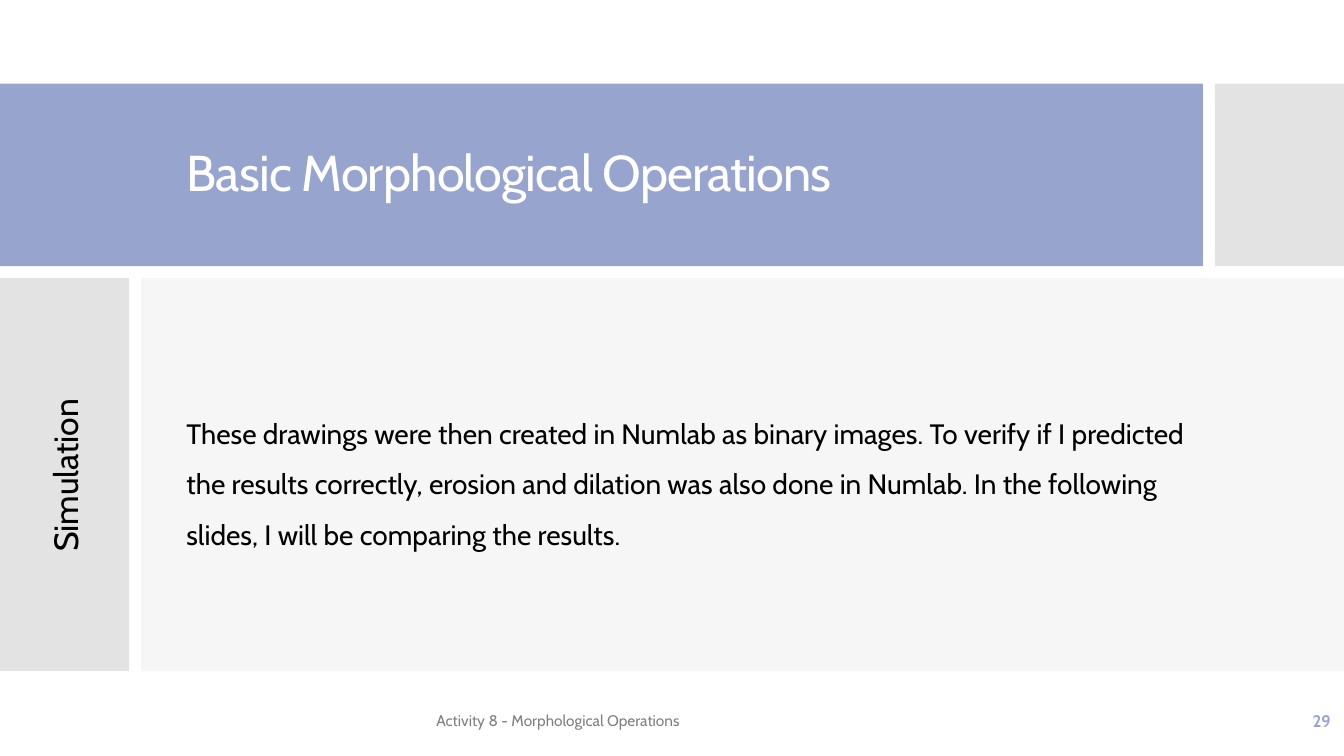
from pptx import Presentation
from pptx.dml.color import RGBColor
from pptx.enum.shapes import MSO_SHAPE
from pptx.enum.text import MSO_ANCHOR, MSO_AUTO_SIZE, PP_ALIGN
from pptx.util import Inches, Pt

FONT = "Cabin"
WHITE = RGBColor(0xFF, 0xFF, 0xFF)
BLACK = RGBColor(0x00, 0x00, 0x00)
BLUE = RGBColor(0x97, 0xA4, 0xCD)
SILVER = RGBColor(0xE3, 0xE3, 0xE3)
PALE = RGBColor(0xF6, 0xF6, 0xF6)
GRAY = RGBColor(0x80, 0x80, 0x80)

BODY = (
    "These drawings were then created in Numlab as binary images. "
    "To verify if I predicted the results correctly, erosion and dilation "
    "was also done in Numlab. In the following slides, I will be comparing "
    "the results."
)


def add_panel(page, left, top, width, height, color):
    panel = page.shapes.add_shape(
        MSO_SHAPE.RECTANGLE,
        Inches(left), Inches(top), Inches(width), Inches(height),
    )
    panel.shadow.inherit = False
    panel.fill.solid()
    panel.fill.fore_color.rgb = color
    panel.line.fill.background()


def write_text(box, text, size, color, align=PP_ALIGN.LEFT):
    """Fill a box with one vertically centred paragraph and return it."""
    frame = box.text_frame
    frame.text = text
    frame.word_wrap = True
    frame.auto_size = MSO_AUTO_SIZE.NONE
    frame.vertical_anchor = MSO_ANCHOR.MIDDLE
    para = frame.paragraphs[0]
    para.alignment = align
    para.font.name = FONT
    para.font.size = Pt(size)
    para.font.color.rgb = color
    return para


def add_text(page, left, top, width, height, *text_format):
    box = page.shapes.add_textbox(
        Inches(left), Inches(top), Inches(width), Inches(height)
    )
    return box, write_text(box, *text_format)


def place_title(page, text):
    """Set the title and bring it in front of its band."""
    title = page.shapes.title
    title.left, title.top = Inches(1.75), Inches(1.19)
    title.width, title.height = Inches(9.82), Inches(1.09)
    para = write_text(title, text, 36, WHITE)
    para.line_spacing = 0.9
    para.runs[0].font._element.set("spc", "-60")
    page.shapes._spTree.append(title._element)


def main():
    deck = Presentation()
    deck.slide_width, deck.slide_height = Inches(13.33), Inches(7.5)
    page = deck.slides.add_slide(deck.slide_layouts[5])

    add_panel(page, 0, 0.83, 11.93, 1.81, BLUE)
    add_panel(page, 12.05, 0.83, 1.28, 1.81, SILVER)
    add_panel(page, 0, 2.76, 1.28, 3.9, SILVER)
    add_panel(page, 1.4, 2.76, 11.93, 3.9, PALE)

    place_title(page, "Basic Morphological Operations")

    _, body = add_text(page, 1.75, 2.77, 10.18, 3.89, BODY, 20, BLACK)
    body.line_spacing = 1.5
    body.space_before = Pt(12)

    side_label, _ = add_text(
        page, 0, 2.77, 1.28, 3.89, "Simulation", 24, BLACK, PP_ALIGN.CENTER
    )
    side_label.text_frame._txBody.bodyPr.set("vert", "vert270")

    add_text(page, 4.23, 6.95, 6.46, 0.4,
             "Activity 8 - Morphological Operations", 11, GRAY)
    _, number = add_text(
        page, 11.63, 6.95, 1.67, 0.4, "29", 12, BLUE, PP_ALIGN.RIGHT
    )
    number.font.bold = True

    deck.save("out.pptx")


if __name__ == "__main__":
    main()
